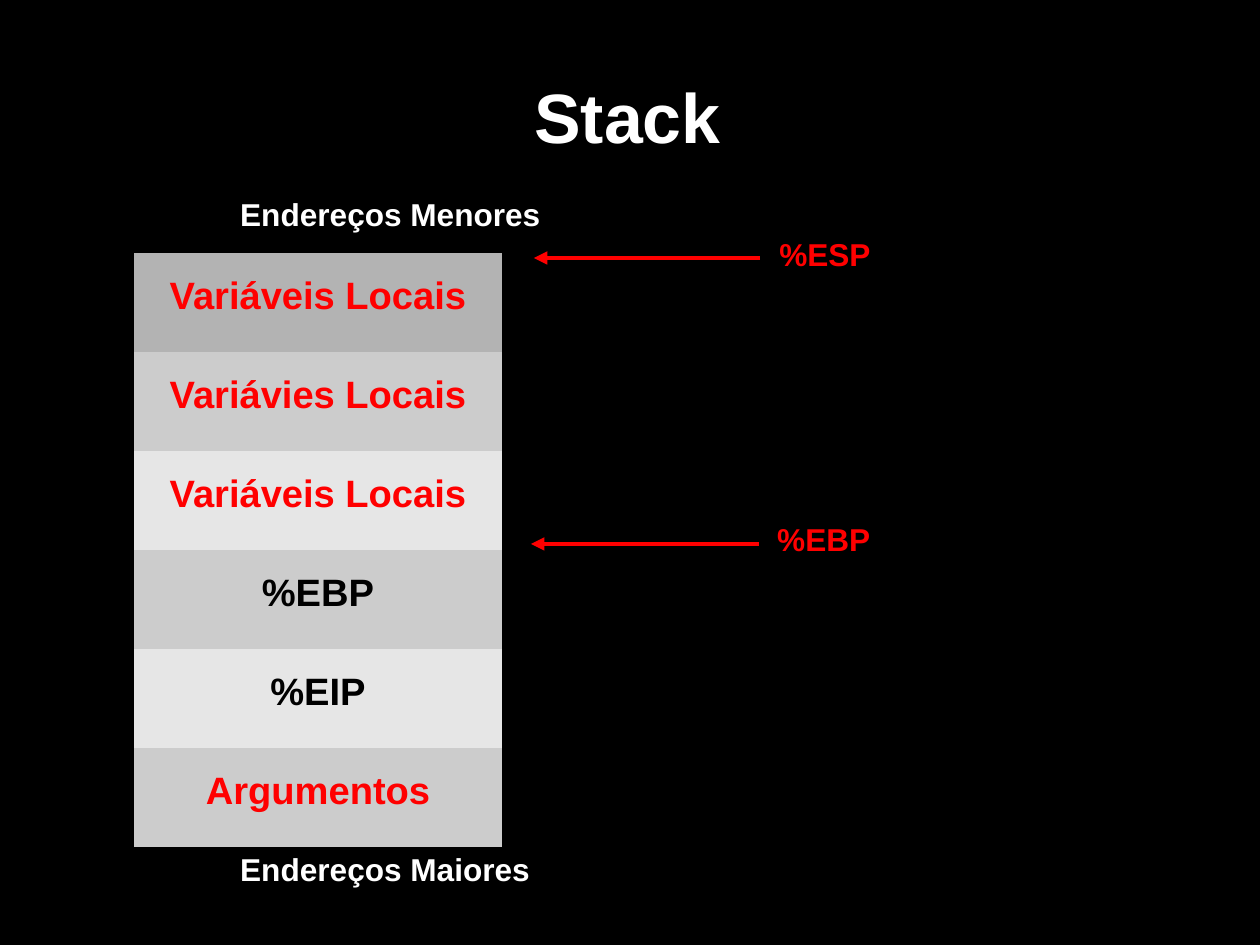
from typing import NamedTuple

import pptx
import pptx.dml.color
import pptx.enum.shapes
import pptx.enum.text
import pptx.oxml.ns
import pptx.util
from lxml import etree

EMU_PER_PX = 8000
FONT = "Arial"
WHITE, BLACK, RED = "FFFFFF", "000000", "FF0000"
DARK, MIDDLE, LIGHT = "B3B3B3", "CCCCCC", "E6E6E6"
NO_STYLE_NO_GRID = "{2D5ABB26-0587-4C30-8999-92F81FD0307C}"
STACK_LEFT, STACK_TOP, STACK_WIDTH, ROW_HEIGHT = 134, 253, 368, 99
LABEL_SIZE, LABEL_HEIGHT = 19.9, 50
CENTER = pptx.enum.text.PP_ALIGN.CENTER
MIDDLE_ANCHOR = pptx.enum.text.MSO_ANCHOR.MIDDLE


class StackEntry(NamedTuple):
    text: str
    fill: str
    color: str


class Label(NamedTuple):
    text: str
    left: int
    top: int
    width: int
    color: str


class Arrow(NamedTuple):
    start: int
    end: int
    y: int


ENTRIES = [
    StackEntry("Variáveis Locais", DARK, RED),
    StackEntry("Variávies Locais", MIDDLE, RED),
    StackEntry("Variáveis Locais", LIGHT, RED),
    StackEntry("%EBP", MIDDLE, BLACK),
    StackEntry("%EIP", LIGHT, BLACK),
    StackEntry("Argumentos", MIDDLE, RED),
]
LABELS = [
    Label("Endereços Maiores", 229, 844, 198, WHITE),
    Label("Endereços Menores", 229, 189, 198, WHITE),
    Label("%EBP", 766, 514, 114, RED),
    Label("%ESP", 768, 229, 114, RED),
]
ARROWS = [Arrow(759, 531, 544), Arrow(760, 534, 258)]


def px(length: int) -> pptx.util.Emu:
    return pptx.util.Emu(length * EMU_PER_PX)


def rgb(color: str) -> pptx.dml.color.RGBColor:
    return pptx.dml.color.RGBColor.from_string(color)


def add_run(para, text: str, size: float, color: str) -> None:
    span = para.add_run()
    span.text = text
    span.font.name = FONT
    span.font.size = pptx.util.Pt(size)
    span.font.bold = True
    span.font.color.rgb = rgb(color)


def draw_title(page) -> None:
    box = page.shapes.add_textbox(px(63), px(17), px(1129), px(198))
    frame = box.text_frame
    frame.word_wrap = True
    frame.auto_size = pptx.enum.text.MSO_AUTO_SIZE.NONE
    frame.vertical_anchor = MIDDLE_ANCHOR
    frame.paragraphs[0].alignment = CENTER
    add_run(frame.paragraphs[0], "Stack", 44, WHITE)


def draw_stack(page, entries: list[StackEntry]) -> None:
    holder = page.shapes.add_table(
        len(entries), 1, px(STACK_LEFT), px(STACK_TOP),
        px(STACK_WIDTH), px(ROW_HEIGHT * len(entries)))
    table = holder.table
    table.first_row = False
    table.horz_banding = False
    style = next(holder._element.iter(pptx.oxml.ns.qn("a:tableStyleId")))
    style.text = NO_STYLE_NO_GRID
    for row, entry in enumerate(entries):
        table.rows[row].height = px(ROW_HEIGHT)
        cell = table.cell(row, 0)
        cell.fill.solid()
        cell.fill.fore_color.rgb = rgb(entry.fill)
        cell.vertical_anchor = MIDDLE_ANCHOR
        cell.margin_left = cell.margin_right = px(5)
        cell.margin_top = cell.margin_bottom = px(6)
        para = cell.text_frame.paragraphs[0]
        para.alignment = CENTER
        para.line_spacing = 0.54
        add_run(para, entry.text, 24, entry.color)


def draw_label(page, label: Label) -> None:
    box = page.shapes.add_textbox(
        px(label.left), px(label.top), px(label.width), px(LABEL_HEIGHT))
    frame = box.text_frame
    frame.word_wrap = False
    frame.auto_size = pptx.enum.text.MSO_AUTO_SIZE.NONE
    add_run(frame.paragraphs[0], label.text, LABEL_SIZE, label.color)


def draw_arrow(page, arrow: Arrow) -> None:
    line = page.shapes.add_connector(
        pptx.enum.shapes.MSO_CONNECTOR.STRAIGHT,
        px(arrow.start), px(arrow.y), px(arrow.end), px(arrow.y))
    line.line.color.rgb = rgb(RED)
    line.line.width = pptx.util.Pt(2.83)
    qn = pptx.oxml.ns.qn
    properties = line._element.spPr
    outline = properties.find(qn("a:ln"))
    etree.SubElement(outline, qn("a:tailEnd"), type="triangle")
    etree.SubElement(properties, qn("a:effectLst"))


def main() -> None:
    deck = pptx.Presentation()
    deck.slide_width, deck.slide_height = px(1260), px(945)
    page = deck.slides.add_slide(deck.slide_layouts[6])
    page.background.fill.solid()
    page.background.fill.fore_color.rgb = rgb(BLACK)

    # Title and memory stack
    draw_title(page)
    draw_stack(page, ENTRIES)

    # Address and register labels
    for label in LABELS:
        draw_label(page, label)

    # Register pointers
    for arrow in ARROWS:
        draw_arrow(page, arrow)

    deck.save("out.pptx")


if __name__ == "__main__":
    main()
